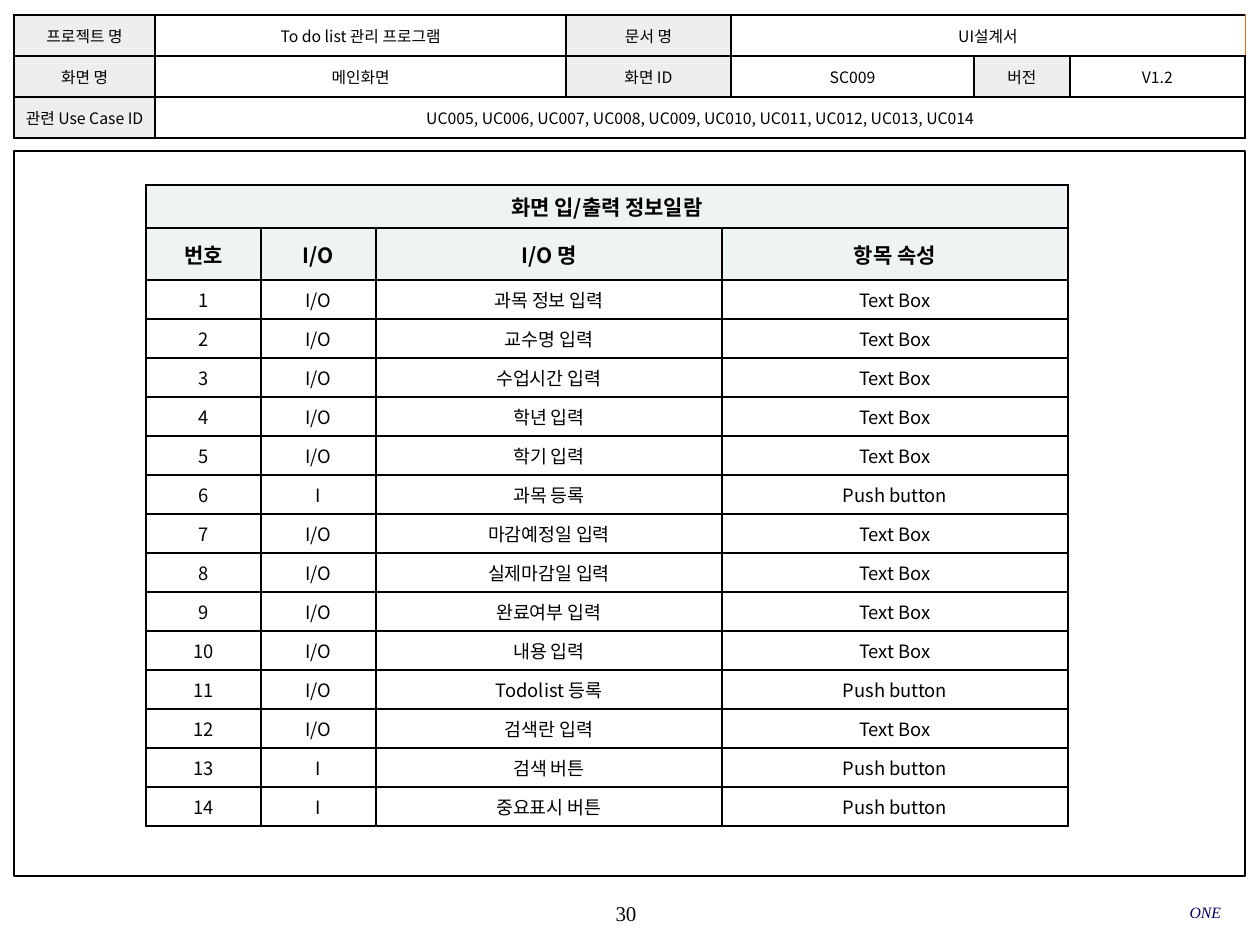
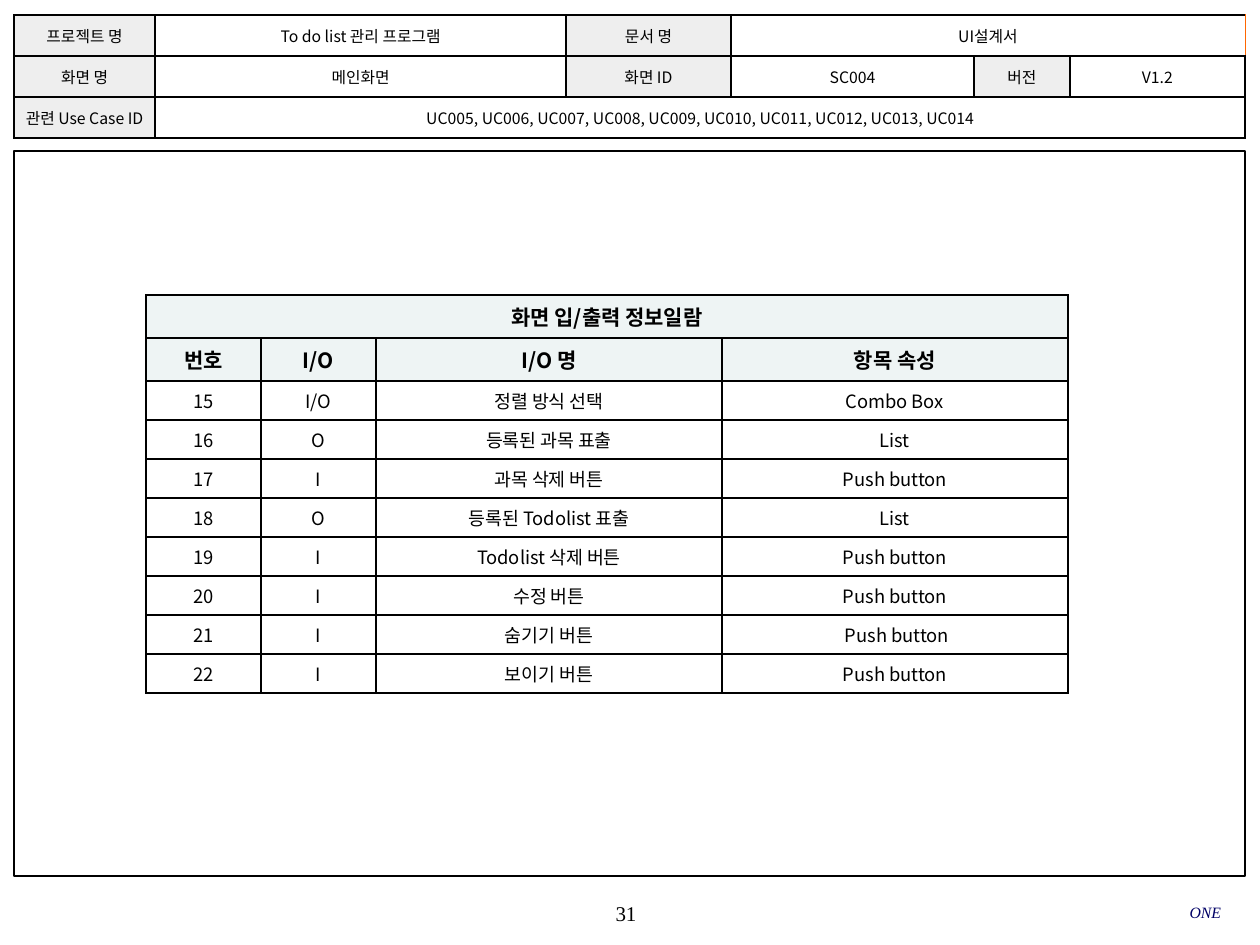
from lxml import etree
from pptx import Presentation
from pptx.dml.color import RGBColor
from pptx.enum import shapes, text
from pptx.oxml.ns import qn
from pptx.util import Emu, Pt

PX = 914400 / 126
BLACK = RGBColor(0x00, 0x00, 0x00)
NAVY = RGBColor(0x00, 0x00, 0x66)
ORANGE = RGBColor(0xFF, 0x66, 0x00)
WHITE = RGBColor(0xFF, 0xFF, 0xFF)
LABEL_GREY = RGBColor(0xEE, 0xEE, 0xEE)
HEAD_TINT = RGBColor(0xEE, 0xF4, 0xF4)
SANS = "Noto Sans CJK KR"
SERIF = "Times New Roman"

INFO_COLS = [141, 411, 165, 243, 96, 175]
INFO_ROWS = [41, 41, 41]
INFO_LABELS = {(0, 0), (0, 2), (1, 0), (1, 2), (1, 4), (2, 0)}
IO_COLS = [115, 115, 346, 346]
IO_ROW = 39
IO_TITLE = "화면 입/출력 정보일람"
IO_HEADS = ["번호", "I/O", "I/O 명", "항목 속성"]
USE_CASES = ", ".join(f"UC{n:03}" for n in range(5, 15))

MAIN_INPUTS = [
    ("I/O", "과목 정보 입력", "Text Box"),
    ("I/O", "교수명 입력", "Text Box"),
    ("I/O", "수업시간 입력", "Text Box"),
    ("I/O", "학년 입력", "Text Box"),
    ("I/O", "학기 입력", "Text Box"),
    ("I", "과목 등록", "Push button"),
    ("I/O", "마감예정일 입력", "Text Box"),
    ("I/O", "실제마감일 입력", "Text Box"),
    ("I/O", "완료여부 입력", "Text Box"),
    ("I/O", "내용 입력", "Text Box"),
    ("I/O", "Todolist 등록", "Push button"),
    ("I/O", "검색란 입력", "Text Box"),
    ("I", "검색 버튼", "Push button"),
    ("I", "중요표시 버튼", "Push button"),
]
LIST_CONTROLS = [
    ("I/O", "정렬 방식 선택", "Combo Box"),
    ("O", "등록된 과목 표출", "List"),
    ("I", "과목 삭제 버튼", "Push button"),
    ("O", "등록된 Todolist 표출", "List"),
    ("I", "Todolist 삭제 버튼", "Push button"),
    ("I", "수정 버튼", "Push button"),
    ("I", "숨기기 버튼", " Push button"),
    ("I", "보이기 버튼", "Push button"),
]


def px(n):
    return Emu(round(n * PX))


def write(tf, words, size, font, color=BLACK, align=text.PP_ALIGN.CENTER,
          bold=False, italic=False):
    tf.text = words
    p = tf.paragraphs[0]
    p.alignment = align
    for r in p.runs:
        r.font.size = Pt(size)
        r.font.name = font
        r.font.bold = bold
        r.font.italic = italic
        r.font.color.rgb = color
        ea = etree.SubElement(r.font._element, qn("a:ea"))
        ea.set("typeface", font)


def add_text(slide, box, words, size, **style):
    sp = slide.shapes.add_textbox(*map(px, box))
    tf = sp.text_frame
    tf.word_wrap = True
    tf.vertical_anchor = text.MSO_ANCHOR.MIDDLE
    tf.margin_left = tf.margin_right = tf.margin_top = tf.margin_bottom = 0
    write(tf, words, size, SERIF, **style)


def add_frame(slide, box):
    sp = slide.shapes.add_shape(shapes.MSO_SHAPE.RECTANGLE, *map(px, box))
    sp.shadow.inherit = False
    sp.fill.background()
    sp.line.color.rgb = BLACK
    sp.line.width = Pt(0.75)


def set_border(cell, side, color=BLACK, width=1):
    tcPr = cell._tc.get_or_add_tcPr()
    ln = tcPr.find(qn(f"a:ln{side}"))
    if ln is None:
        ln = etree.SubElement(tcPr, qn(f"a:ln{side}"))
    for child in list(ln):
        ln.remove(child)
    ln.set("w", str(Pt(width)))
    solid = etree.SubElement(ln, qn("a:solidFill"))
    etree.SubElement(solid, qn("a:srgbClr")).set("val", str(color))


def add_grid(slide, left, top, cols, rows):
    frame = slide.shapes.add_table(len(rows), len(cols), px(left), px(top),
                                   px(sum(cols)), px(sum(rows)))
    table = frame.table
    table.first_row = table.horz_banding = False
    for column, width in zip(table.columns, cols):
        column.width = px(width)
    for row, height in zip(table.rows, rows):
        row.height = px(height)
    for cell in table.iter_cells():
        cell.vertical_anchor = text.MSO_ANCHOR.MIDDLE
        for side in "LRTB":
            set_border(cell, side)
    return table


def fill_cell(cell, words, size, color=None, bold=False):
    if color is None:
        cell.fill.background()
    else:
        cell.fill.solid()
        cell.fill.fore_color.rgb = color
    write(cell.text_frame, words, size, SANS, bold=bold)


def add_info_table(slide, screen_id):
    table = add_grid(slide, 14, 15, INFO_COLS, INFO_ROWS)
    table.cell(0, 3).merge(table.cell(0, 5))
    table.cell(2, 1).merge(table.cell(2, 5))
    for c in range(3, 6):
        set_border(table.cell(0, c), "R", ORANGE, 0.25)
    content = [
        ["프로젝트 명", "To do list 관리 프로그램", "문서 명", "UI설계서"],
        ["화면 명", "메인화면", "화면 ID", screen_id, "버전", "V1.2"],
        ["관련 Use Case ID", USE_CASES],
    ]
    for r, row in enumerate(content):
        for c, words in enumerate(row):
            cell = table.cell(r, c)
            cell.margin_left = cell.margin_right = px(5)
            cell.margin_top = cell.margin_bottom = px(3)
            fill_cell(cell, words, 9, LABEL_GREY if (r, c) in INFO_LABELS else None)


def add_io_table(slide, top, head_height, first_number, items):
    rows = [43, head_height] + [IO_ROW] * len(items)
    table = add_grid(slide, 146, top, IO_COLS, rows)
    table.cell(0, 0).merge(table.cell(0, 3))
    fill_cell(table.cell(0, 0), IO_TITLE, 12, HEAD_TINT, bold=True)
    for c, words in enumerate(IO_HEADS):
        fill_cell(table.cell(1, c), words, 12, HEAD_TINT, bold=True)
    for i, item in enumerate(items):
        for c, words in enumerate((str(first_number + i), *item)):
            fill_cell(table.cell(i + 2, c), words, 10.5, WHITE)


def add_screen_slide(prs, page, screen_id, top, head_height, first_number, items):
    slide = prs.slides.add_slide(prs.slide_layouts[6])
    add_text(slide, (495, 892, 262, 42), str(page), 12)
    add_frame(slide, (14, 151, 1231, 725))
    add_text(slide, (835, 891, 386, 42), "ONE", 9, color=NAVY,
             align=text.PP_ALIGN.RIGHT, italic=True)
    add_io_table(slide, top, head_height, first_number, items)
    add_info_table(slide, screen_id)


def main():
    prs = Presentation()
    prs.slide_width, prs.slide_height = px(1260), px(945)
    add_screen_slide(prs, 30, "SC009", 185, 52, 1, MAIN_INPUTS)
    add_screen_slide(prs, 31, "SC004", 295, 43, 15, LIST_CONTROLS)
    prs.save("out.pptx")


if __name__ == "__main__":
    main()
